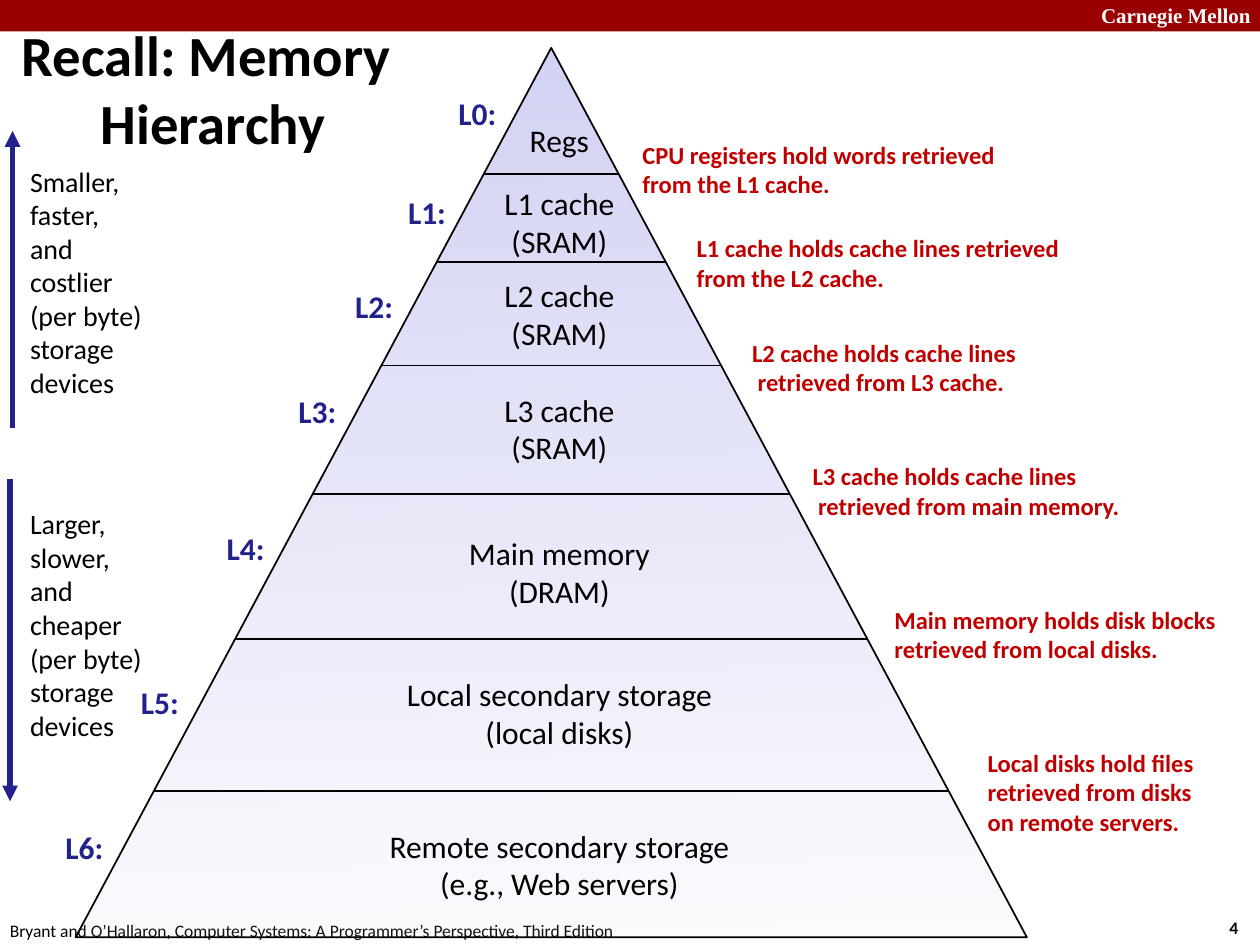
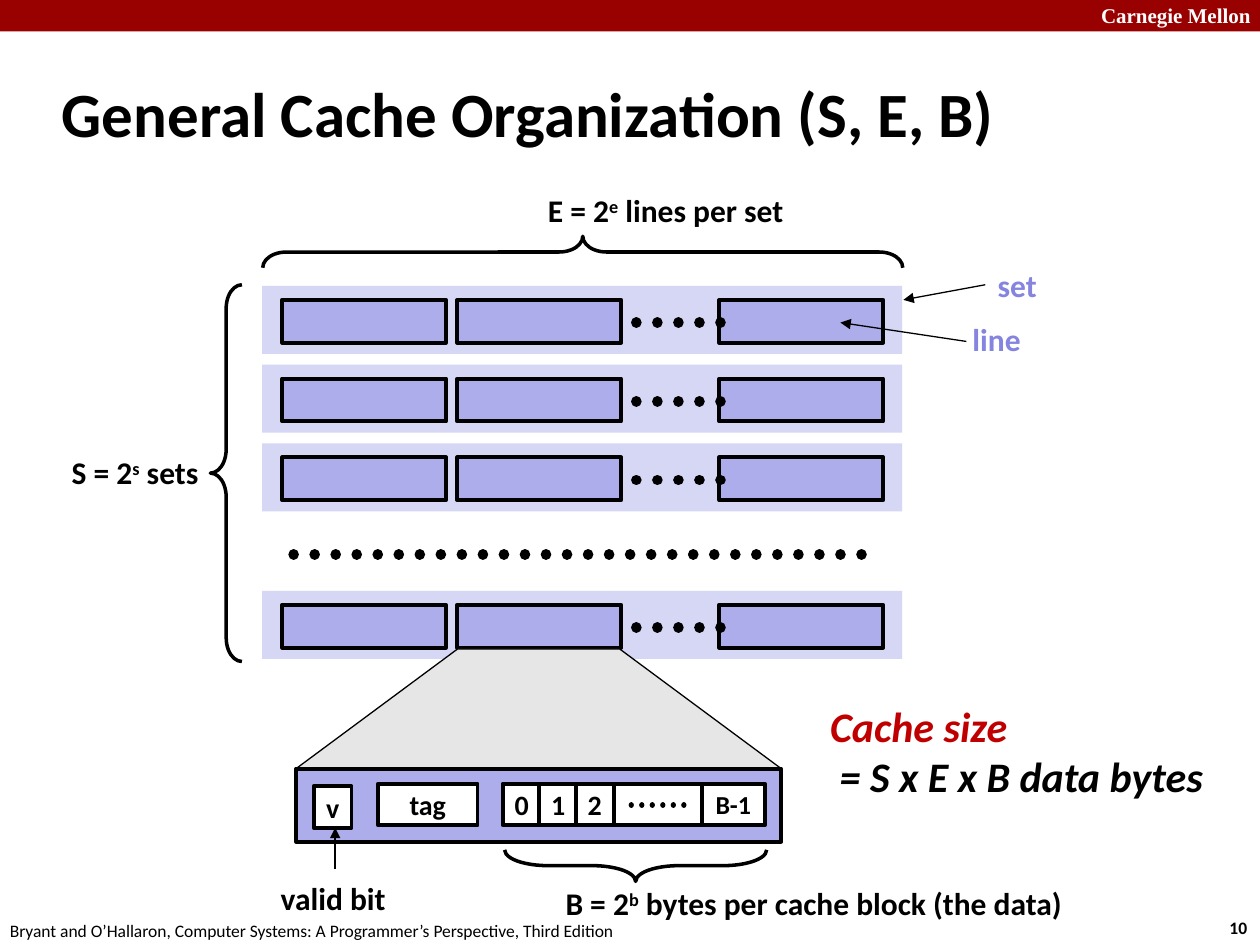
from pptx import Presentation
from pptx import util as u
from pptx.dml.color import RGBColor
from pptx.enum import dml, shapes, text
from pptx.oxml.ns import qn
from pptx.oxml.xmlchemy import OxmlElement

# Every length below is in cells of a grid of 100 columns by 75 rows.
WIDTH, HEIGHT = u.Inches(10), u.Inches(7.5)
COL, ROW = WIDTH / 100, HEIGHT / 75

BLACK = RGBColor(0x00, 0x00, 0x00)
WHITE = RGBColor(0xFF, 0xFF, 0xFF)
BAND = RGBColor(0x99, 0x00, 0x00)
RED = RGBColor(0xC0, 0x00, 0x00)
NAVY = RGBColor(0x22, 0x22, 0x8B)
LILAC = RGBColor(0xD2, 0xD2, 0xF4)
SET_FILL = RGBColor(0xD6, 0xD6, 0xF5)
LINE_FILL = RGBColor(0xAD, 0xAD, 0xEB)
LABEL_BLUE = RGBColor(0x85, 0x85, 0xE0)
GREY = RGBColor(0xE6, 0xE6, 0xE6)

SHAPE = shapes.MSO_SHAPE
MIDDLE, TOP = text.MSO_ANCHOR.MIDDLE, text.MSO_ANCHOR.TOP
LEFT, CENTER = text.PP_ALIGN.LEFT, text.PP_ALIGN.CENTER
FOOTER = ("Bryant and O’Hallaron, Computer Systems: "
          "A Programmer’s Perspective, Third Edition")

# Pyramid: apex, half of the base, and height
APEX_X, APEX_Y, HALF_BASE, PYRAMID_H = 43.75, 3.8, 37.75, 70.6

# label, its left and top, caption, middle of the caption, lower edge
LEVELS = [
    ("L0:", 35.4, 7.0, ["Regs"], 11.1, 13.8),
    ("L1:", 31.4, 14.8, ["L1 cache", "(SRAM)"], 17.6, 20.8),
    ("L2:", 27.2, 22.3, ["L2 cache", "(SRAM)"], 24.9, 29.0),
    ("L3:", 22.7, 30.6, ["L3 cache", "(SRAM)"], 34.0, 39.2),
    ("L4:", 17.0, 41.5, ["Main memory", "(DRAM)"], 45.4, 50.7),
    ("L5:", 10.2, 53.7, ["Local secondary storage", "(local disks)"], 56.6, 62.8),
    ("L6:", 4.2, 65.2, ["Remote secondary storage", "(e.g., Web servers)"], 68.6, None),
]

# left, top, width, paragraphs
NOTES = [
    (50.0, 10.6, 31.9, ["CPU registers hold words retrieved from the L1 cache."]),
    (54.3, 18.0, 31.0, ["L1 cache holds cache lines retrieved from the L2 cache."]),
    (58.7, 26.3, 28.8, ["L2 cache holds cache lines", " retrieved from L3 cache."]),
    (63.5, 36.1, 31.5, ["L3 cache holds cache lines", " retrieved from main memory."]),
    (70.0, 47.5, 27.9, ["Main memory holds disk blocks retrieved from local disks."]),
    (77.4, 58.8, 22.6, ["Local disks hold files retrieved from disks", "on remote servers."]),
]


def cells(x, y, w, h):
    return [u.Emu(round(n * unit)) for n, unit in zip((x, y, w, h), (COL, ROW, COL, ROW))]


def write(tf, lines, size, color=BLACK, bold=False, italic=False,
          align=LEFT, font="Calibri"):
    """Fill a text frame, one paragraph a line; ^x^ raises x."""
    for i, line in enumerate(lines):
        p = tf.paragraphs[0] if i == 0 else tf.add_paragraph()
        p.alignment = align
        for j, part in enumerate(line.split("^")):
            r = p.add_run()
            r.text = part
            r.font.name, r.font.size = font, u.Pt(size)
            r.font.bold, r.font.italic = bold, italic
            r.font.color.rgb = color
            if j % 2:
                r._r.get_or_add_rPr().set("baseline", "30000")


def add_label(slide, x, y, w, h, lines, size, anchor=MIDDLE, **style):
    tf = slide.shapes.add_textbox(*cells(x, y, w, h)).text_frame
    tf.word_wrap = True
    tf.vertical_anchor = anchor
    write(tf, lines, size, **style)


def add_box(slide, x, y, w, h, fill, line=None, kind=SHAPE.RECTANGLE, label=None, size=16):
    sp = slide.shapes.add_shape(kind, *cells(x, y, w, h))
    sp.shadow.inherit = False
    if fill is None:
        sp.fill.background()
    else:
        sp.fill.solid()
        sp.fill.fore_color.rgb = fill
    if line is None:
        sp.line.fill.background()
    else:
        sp.line.color.rgb, sp.line.width = BLACK, u.Pt(line)
    if label:
        sp.text_frame.word_wrap = False
        sp.text_frame.vertical_anchor = MIDDLE
        write(sp.text_frame, [label], size, bold=True, align=CENTER)
    return sp


def add_line(slide, x1, y1, x2, y2, width=1, color=BLACK, arrow=False, dotted=False):
    """Draw a line; an arrow points at the second end."""
    line = slide.shapes.add_connector(shapes.MSO_CONNECTOR.STRAIGHT, *cells(x1, y1, x2, y2))
    line.line.color.rgb, line.line.width = color, u.Pt(width)
    ln = line.line._get_or_add_ln()
    if dotted:
        line.line.dash_style = dml.MSO_LINE.ROUND_DOT
        ln.set("cap", "rnd")
    if arrow:
        tip = OxmlElement("a:tailEnd")
        tip.set("type", "triangle")
        ln.append(tip)
    line._element.spPr.append(OxmlElement("a:effectLst"))


def add_brace(slide, x, y, w, h, rotation=0, curl=0.75):
    brace = add_box(slide, x, y, w, h, None, 2, SHAPE.LEFT_BRACE)
    brace.rotation = rotation
    brace.adjustments[0] = curl


def add_slide(prs, number, title, size, place):
    """Add a slide with the shared band, footer and title."""
    slide = prs.slides.add_slide(prs.slide_layouts[5])
    add_box(slide, 0, 0, 100, 2.5, BAND)
    add_label(slide, 86.4, -0.3, 14.3, 3, ["Carnegie Mellon"], 12, TOP,
              color=WHITE, bold=True, font="Times New Roman")
    add_label(slide, 96.6, 72.3, 3.7, 2.7, [str(number)], 10, TOP, bold=True)
    add_label(slide, -0.2, 72.5, 54, 2.7, [FOOTER], 10, TOP)
    sp = slide.shapes.title
    sp.left, sp.top, sp.width, sp.height = cells(*place)
    tf = sp.text_frame
    tf.auto_size = text.MSO_AUTO_SIZE.NONE
    tf.vertical_anchor = MIDDLE
    write(tf, title, size, bold=True)
    return slide


def add_pyramid(slide):
    sp = add_box(slide, APEX_X - HALF_BASE, APEX_Y, 2 * HALF_BASE, PYRAMID_H,
                 LILAC, 1, SHAPE.ISOSCELES_TRIANGLE)
    sp.fill.gradient()
    sp.fill.gradient_angle = 91
    for stop in sp.fill.gradient_stops:
        stop.color.rgb = LILAC
    alpha = OxmlElement("a:alpha")
    alpha.set("val", "7000")
    next(sp._element.spPr.iter(qn("a:srgbClr"))).append(alpha)
    for label, x, y, caption, middle, edge in LEVELS:
        add_label(slide, x, y, 6, 4, [label], 18, color=NAVY, bold=True)
        add_label(slide, 27.4, middle - 3.6, 34, 7.2, caption, 18, align=CENTER)
        if edge:
            half = HALF_BASE * (edge - APEX_Y) / PYRAMID_H
            add_line(slide, APEX_X - half, edge, APEX_X + half, edge)


def build_hierarchy(prs):
    slide = add_slide(prs, 4, ["Recall: Memory", "Hierarchy"], 32.4, (0.7, 2.7, 95.3, 8.6))
    second = slide.shapes.title.text_frame.paragraphs[1]
    second._p.get_or_add_pPr().set("marL", str(round(6.3 * COL)))
    add_pyramid(slide)
    for x, y, w, lines in NOTES:
        add_label(slide, x, y, w, 2.4 * len(lines) + 3.3 if x > 77 else 5.7,
                  lines, 14, color=RED, bold=True)
    shared = ["(per byte)", "storage", "devices"]
    add_label(slide, 1.4, 12.4, 12, 19.9, ["Smaller,", "faster,", "and", "costlier"] + shared, 16)
    add_label(slide, 1.4, 39.6, 12, 19.9, ["Larger,", "slower,", "and", "cheaper"] + shared, 16)
    add_line(slide, 1, 34, 1, 10.4, 3, NAVY, arrow=True)
    add_line(slide, 0.8, 38, 0.8, 63.6, 3, NAVY, arrow=True)


def add_cache_set(slide, top):
    add_box(slide, 20.8, top, 50.8, 5.4, SET_FILL)
    for x in (22.4, 36.3, 57.1):
        add_box(slide, x, top + 1.1, 13, 3.4, LINE_FILL, 2.25)
    add_line(slide, 50.5, top + 2.9, 57.2, top + 2.9, 6, dotted=True)


def add_cache_line(slide):
    """Draw one line enlarged: valid bit, tag and bytes."""
    zoom = add_box(slide, 23.5, 51.5, 38.5, 9.5, GREY, 0.75, SHAPE.TRAPEZOID)
    zoom.adjustments[0] = 1.35
    add_box(slide, 23.5, 61, 38.5, 5.8, LINE_FILL, 2.25)
    add_box(slide, 24.9, 62.4, 3, 3.3, WHITE, 2.25, label="v")
    add_box(slide, 30, 62.2, 7.9, 3.3, WHITE, 2.25, label="tag")
    for i in range(3):
        add_box(slide, 39.9 + 2.9 * i, 62.2, 3, 3.3, WHITE, 2.25, label=str(i))
    add_box(slide, 55.7, 62.2, 5, 3.3, WHITE, 2.25, label="B-1", size=14.8)
    add_box(slide, 48.7, 62.2, 7, 3.3, WHITE, 2.25)
    add_line(slide, 50.1, 63.9, 55.1, 63.9, 3, dotted=True)


def build_organization(prs):
    slide = add_slide(prs, 10, ["General Cache Organization (S, E, B)"], 36,
                      (3.9, 4.8, 83, 8.3))
    for top in (22.7, 28.95, 35.2, 46.9):
        add_cache_set(slide, top)
    add_line(slide, 23.3, 44, 70, 44, 6, dotted=True)
    add_cache_line(slide)

    add_brace(slide, 45, -5.4, 2.5, 50.8, 90)
    add_brace(slide, 16.7, 22.6, 2.5, 29.9)
    add_brace(slide, 49.2, 58.3, 2.5, 20.8, 270, 1.37)

    for x, y, w, line, color in [
        (42.5, 14.7, 24, "E = 2^e^ lines per set", BLACK),
        (4.7, 35.5, 14, "S = 2^s^ sets", BLACK),
        (43.9, 69.7, 45, "B = 2^b^ bytes per cache block (the data)", BLACK),
        (21.3, 69.3, 12, "valid bit", BLACK),
        (78.2, 20.6, 7, "set", LABEL_BLUE),
        (76.2, 24.9, 7, "line", LABEL_BLUE),
    ]:
        add_label(slide, x, y, w, 4, [line], 18, TOP, color=color, bold=True)
    for ends in [(78.2, 22.6, 71.7, 23.8), (76.7, 27.1, 66.7, 25.6), (26.6, 69, 26.6, 65.7)]:
        add_line(slide, *ends, 0.75, arrow=True)

    add_label(slide, 64.9, 55.1, 33, 9.1, ["Cache size", " = S x E x B data bytes"],
              24, TOP, bold=True, italic=True)
    heading = slide.shapes[-1].text_frame.paragraphs[0]
    heading.runs[0].font.color.rgb = RED


def main():
    prs = Presentation()
    prs.slide_width, prs.slide_height = WIDTH, HEIGHT
    build_hierarchy(prs)
    build_organization(prs)
    prs.save("out.pptx")


if __name__ == "__main__":
    main()
